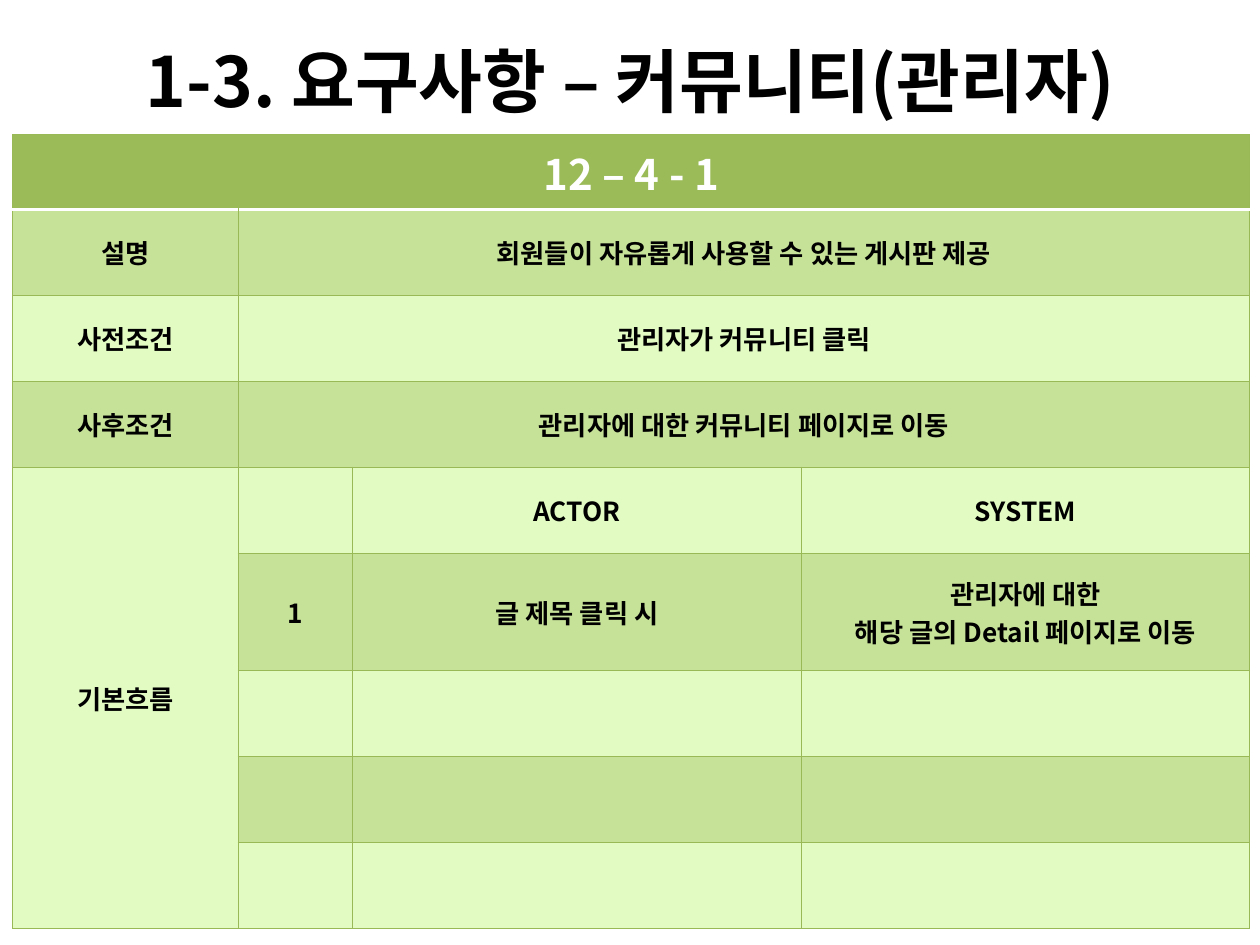
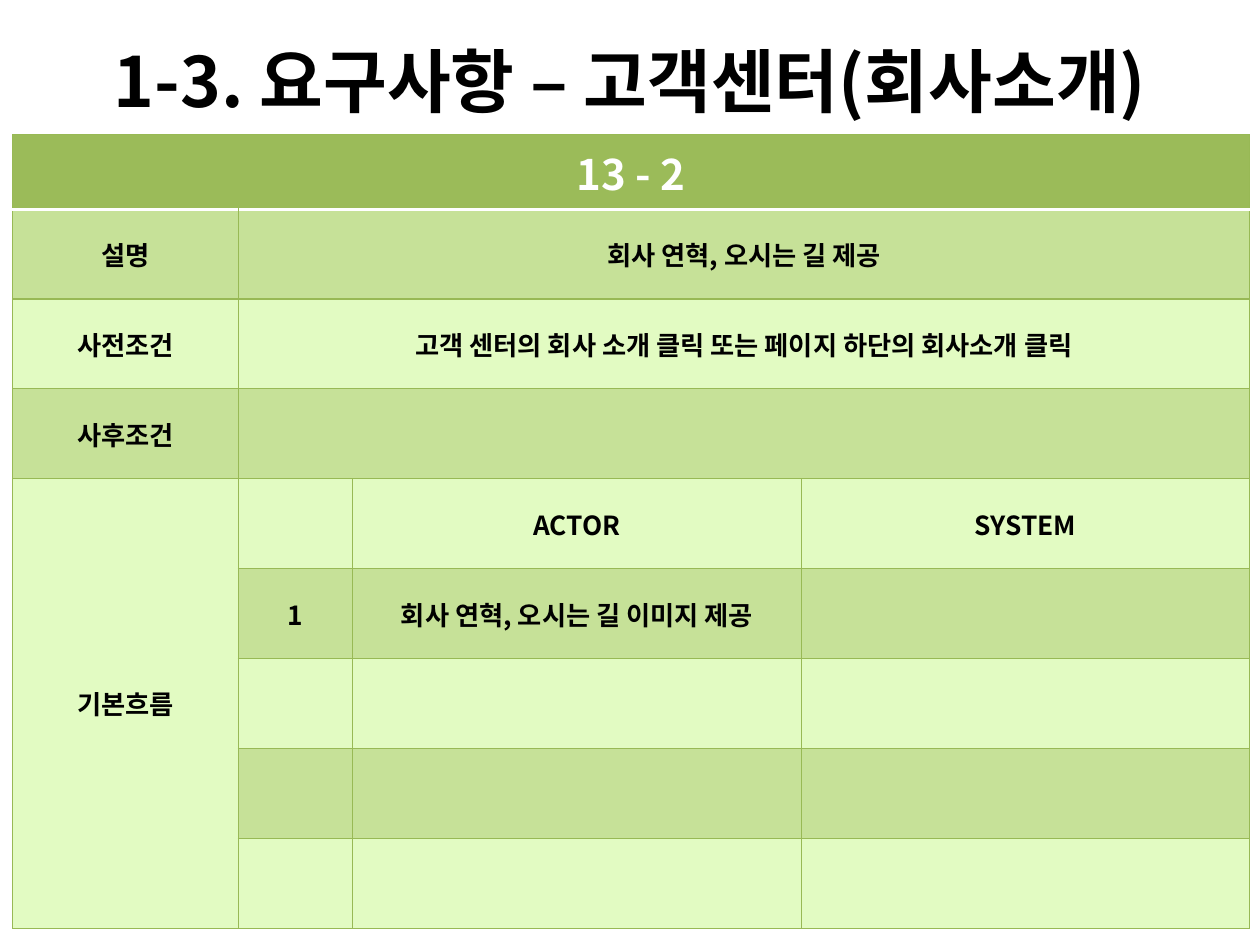
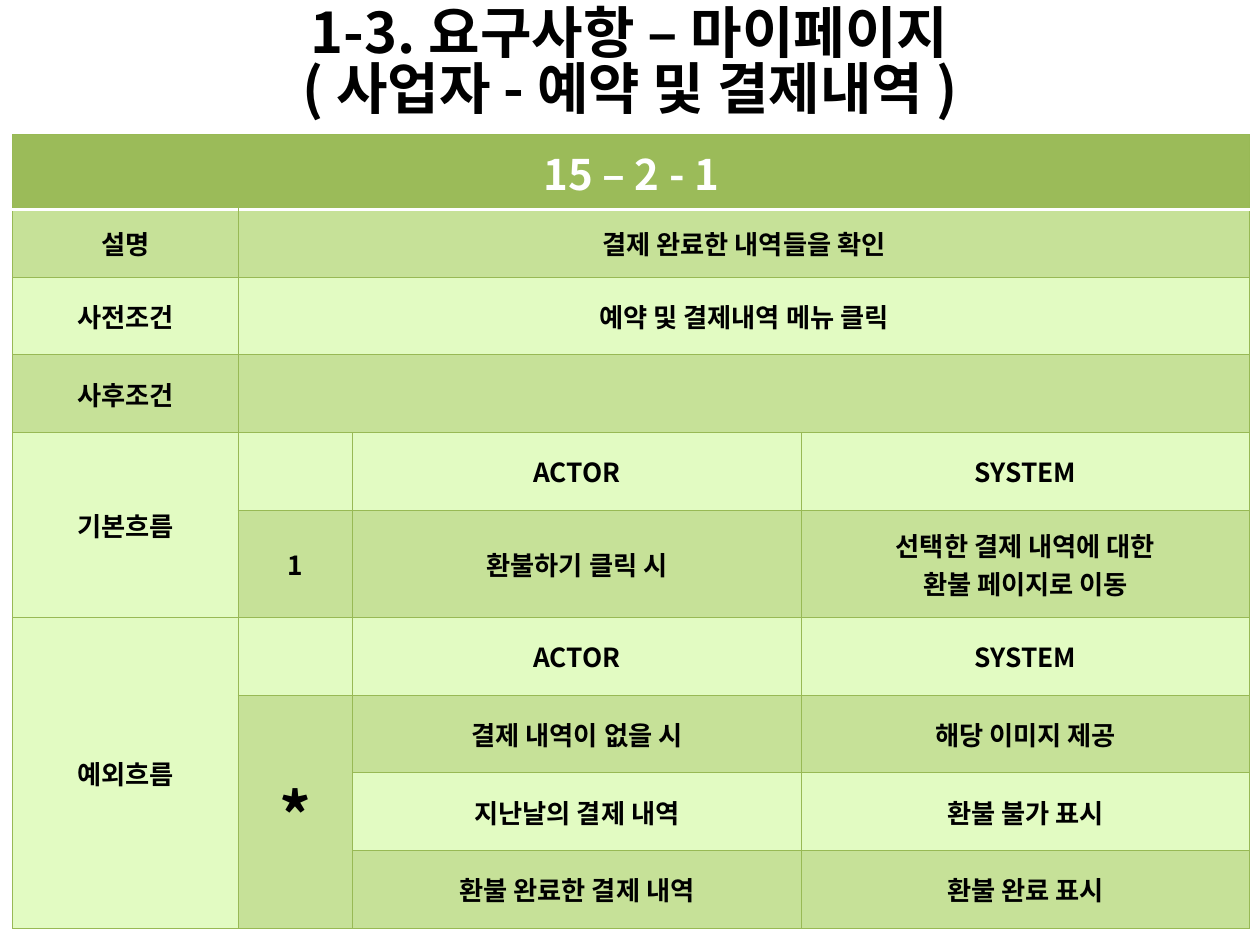
from lxml.etree import SubElement
from pptx import Presentation
from pptx.dml.color import RGBColor
from pptx.enum.text import MSO_ANCHOR, MSO_AUTO_SIZE, PP_ALIGN
from pptx.oxml.ns import qn
from pptx.util import Pt

EMU_PER_PX = 9144
FONT = "Noto Sans CJK KR"
COLORS = {
    "text": "000000",
    "white": "FFFFFF",
    "header": "9BBB59",
    "dark": "C6E198",
    "light": "E2FBC2",
    "line": "98B955",
}
COLUMNS = [179, 91, 356, 356]
TABLE_HEIGHT = 630
HEADER_HEIGHT = 59
FLOW_HEADING = ["", "ACTOR", "SYSTEM"]
DESCRIPTION, BEFORE, AFTER = "설명", "사전조건", "사후조건"
BASIC_FLOW, EXCEPTION_FLOW = "기본흐름", "예외흐름"


def px(length):
    return round(length * EMU_PER_PX)


def color(name):
    return RGBColor.from_string(COLORS[name])


class RequirementDeck:
    def __init__(self):
        self.deck = Presentation()
        self.deck.slide_width = px(1000)
        self.deck.slide_height = px(750)
        self.page = None

    def add_page(self):
        self.page = self.deck.slides.add_slide(self.deck.slide_layouts[5])

    def format_text(self, text_frame, size, color_name="text"):
        for para in text_frame.paragraphs:
            para.alignment = PP_ALIGN.CENTER
            for span in para.runs:
                span.font.size = Pt(size)
                span.font.bold = True
                span.font.color.rgb = color(color_name)
                span.font.name = FONT
                east_asian = SubElement(span.font._element, qn("a:ea"))
                east_asian.set("typeface", FONT)

    def add_title(self, text, top=1, size=39.6, line_spacing=1.0):
        box = self.page.shapes.title
        box.left, box.top = px(50), px(top)
        box.width, box.height = px(900), px(125)
        box.text_frame.text = text
        box.text_frame.auto_size = MSO_AUTO_SIZE.NONE
        box.text_frame.vertical_anchor = MSO_ANCHOR.MIDDLE
        box.text_frame.paragraphs[0].line_spacing = line_spacing
        self.format_text(box.text_frame, size)

    def set_borders(self, cell, row_index):
        properties = cell._tc.get_or_add_tcPr()
        white_side = {0: "B", 1: "T"}.get(row_index)
        for position, side in enumerate("LRTB"):
            name, width = ("white", 2) if side == white_side else ("line", 0.75)
            line = properties.makeelement(qn(f"a:ln{side}"), {"w": str(Pt(width))})
            fill = SubElement(line, qn("a:solidFill"))
            SubElement(fill, qn("a:srgbClr")).set("val", COLORS[name])
            properties.insert(position, line)

    def add_table(self, rows, merges, fixed_heights, sizes):
        heights = {0: HEADER_HEIGHT, **fixed_heights}
        shared_height = (TABLE_HEIGHT - sum(heights.values())) / (len(rows) - len(heights))
        frame = self.page.shapes.add_table(
            len(rows), len(COLUMNS), px(10), px(107), px(sum(COLUMNS)), px(TABLE_HEIGHT))
        table = frame.table
        for column, width in zip(table.columns, COLUMNS):
            column.width = px(width)
        for row_index, values in enumerate(rows):
            table.rows[row_index].height = px(heights.get(row_index, shared_height))
            fill_name = "header" if row_index == 0 else ("light", "dark")[row_index % 2]
            size, text_color = (24, "white") if row_index == 0 else (15, "text")
            values = values + [""] * (len(COLUMNS) - len(values))
            for column_index, value in enumerate(values):
                cell = table.cell(row_index, column_index)
                cell.fill.solid()
                cell.fill.fore_color.rgb = color(fill_name)
                cell.vertical_anchor = MSO_ANCHOR.MIDDLE
                self.set_borders(cell, row_index)
                cell.text_frame.text = value
                self.format_text(
                    cell.text_frame, sizes.get((row_index, column_index), size), text_color)
        for top, left, bottom, right in merges:
            table.cell(top, left).merge(table.cell(bottom, right))

    def add_requirement(self, number, conditions, flows, fixed_heights=None, marks=()):
        rows = [[number]]
        rows += [list(pair) for pair in zip((DESCRIPTION, BEFORE, AFTER), conditions)]
        merges = [(0, 0, 0, 3)] + [(row, 1, row, 3) for row in (1, 2, 3)]
        for label, steps in flows:
            first = len(rows)
            rows.append([label] + FLOW_HEADING)
            rows += [[""] + step for step in steps]
            merges.append((first, 0, len(rows) - 1, 0))
        merges += [(top, 1, bottom, 1) for top, bottom in marks]
        sizes = {(top, 1): 36 for top, bottom in marks}
        self.add_table(rows, merges, fixed_heights or {}, sizes)


def main():
    builder = RequirementDeck()
    blank_steps = [["", "", ""] for _ in range(3)]

    builder.add_page()
    builder.add_title("1-3. 요구사항 – 커뮤니티(관리자)")
    builder.add_requirement(
        "12 – 4 - 1",
        ["회원들이 자유롭게 사용할 수 있는 게시판 제공",
         "관리자가 커뮤니티 클릭",
         "관리자에 대한 커뮤니티 페이지로 이동"],
        [(BASIC_FLOW, [
            ["1", "글 제목 클릭 시", "관리자에 대한\n해당 글의 Detail 페이지로 이동"],
            *blank_steps])],
        fixed_heights={5: 93})

    builder.add_page()
    builder.add_title("1-3. 요구사항 – 고객센터(회사소개)")
    builder.add_requirement(
        "13 - 2",
        ["회사 연혁, 오시는 길 제공",
         "고객 센터의 회사 소개 클릭 또는 페이지 하단의 회사소개 클릭",
         ""],
        [(BASIC_FLOW, [["1", "회사 연혁, 오시는 길 이미지 제공", ""], *blank_steps])])

    builder.add_page()
    builder.add_title("1-3. 요구사항 – 마이페이지\v( 사업자 - 예약 및 결제내역 )",
                      top=-11, size=32, line_spacing=0.83)
    builder.add_requirement(
        "15 – 2 - 1",
        ["결제 완료한 내역들을 확인", "예약 및 결제내역 메뉴 클릭", ""],
        [(BASIC_FLOW, [
            ["1", "환불하기 클릭 시", "선택한 결제 내역에 대한\n환불 페이지로 이동"]]),
         (EXCEPTION_FLOW, [
             ["*", "결제 내역이 없을 시", "해당 이미지 제공"],
             ["", "지난날의 결제 내역", "환불 불가 표시"],
             ["", "환불 완료한 결제 내역", "환불 완료 표시"]])],
        fixed_heights={1: 54, 5: 85},
        marks=[(7, 9)])

    builder.deck.save("out.pptx")


if __name__ == "__main__":
    main()
